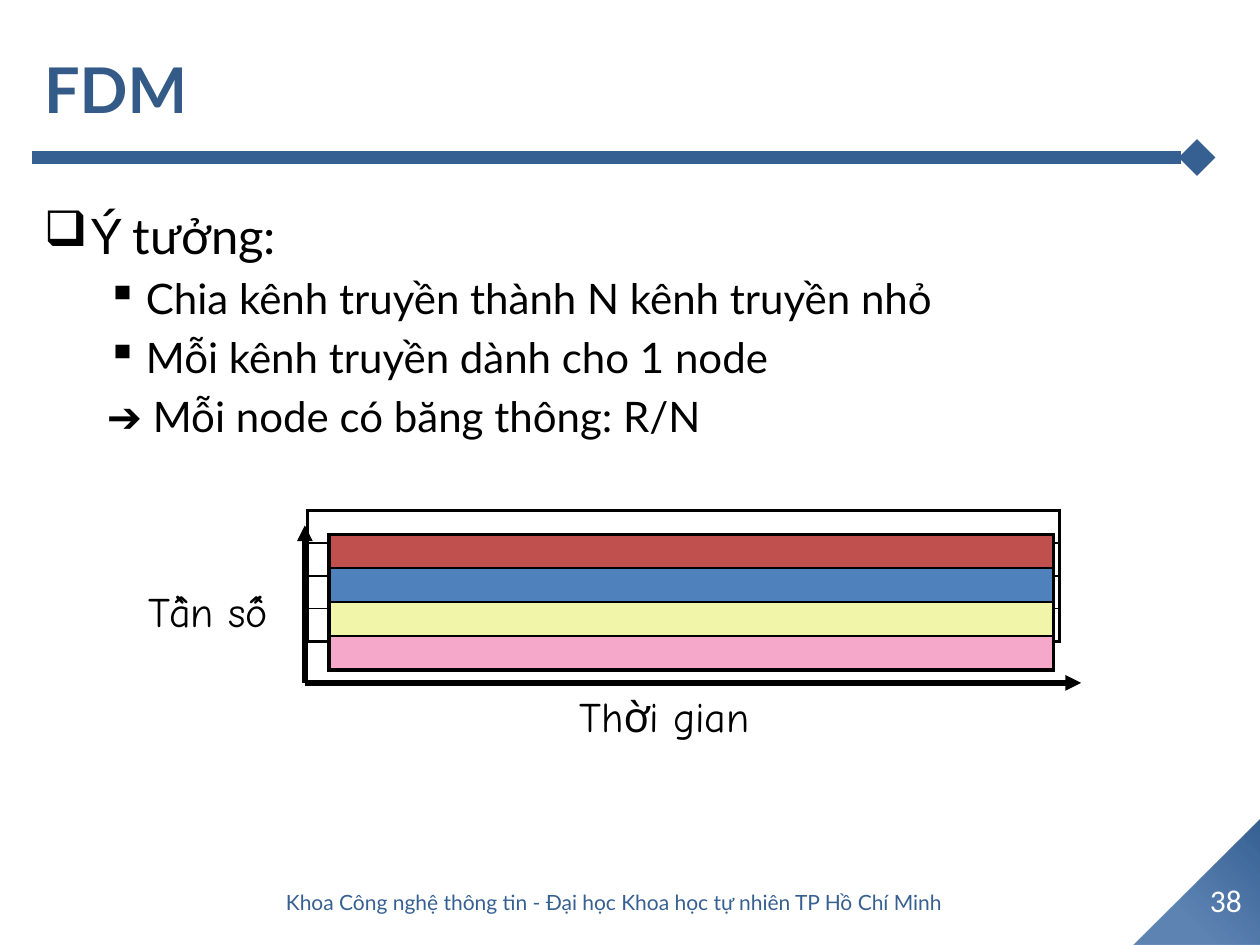
"""Build the FDM slide: idea list and a frequency-time diagram of channel bands."""
import pptx
import pptx.util
import pptx.dml.color
import pptx.enum.shapes
import pptx.enum.text
import pptx.oxml
import pptx.oxml.ns
import lxml.etree

Inches = pptx.util.Inches
Pt = pptx.util.Pt
ANCHOR = pptx.enum.text.MSO_ANCHOR
ALIGN = pptx.enum.text.PP_ALIGN
NAVY = "376092"


def color(value):
    return pptx.dml.color.RGBColor.from_string(value)


def add_child(parent, tag, **attributes):
    return lxml.etree.SubElement(parent, pptx.oxml.ns.qn(tag), attributes)


deck = pptx.Presentation()
deck.slide_width, deck.slide_height = Inches(10), Inches(7.5)
slide = deck.slides.add_slide(deck.slide_layouts[5])
shapes = slide.shapes

corner = shapes.add_shape(pptx.enum.shapes.MSO_SHAPE.RIGHT_TRIANGLE,
                          Inches(9), Inches(6.5), Inches(1), Inches(1))
corner.rotation = 270
corner.shadow.inherit = False
corner.line.fill.background()
corner.fill.gradient()
gradient = corner.fill._xPr.find(pptx.oxml.ns.qn("a:gradFill"))
for child in list(gradient):
    gradient.remove(child)
stops = add_child(gradient, "a:gsLst")
add_child(add_child(stops, "a:gs", pos="0"), "a:srgbClr", val=NAVY)
light = add_child(add_child(stops, "a:gs", pos="68000"), "a:srgbClr", val="3D6CA4")
add_child(light, "a:alpha", val="83000")
circle = add_child(gradient, "a:path", path="circle")
add_child(circle, "a:fillToRect", l="100000", b="100000")

title = shapes.title
title.left, title.top, title.width, title.height = (
    Inches(0.25), Inches(0.08), Inches(9.57), Inches(1.25))
title.text_frame.vertical_anchor = ANCHOR.MIDDLE
para = title.text_frame.paragraphs[0]
para.alignment = ALIGN.LEFT
span = para.add_run()
span.text = "FDM"
span.font.name, span.font.size, span.font.bold = "Lato", Pt(36), True
span.font.color.rgb = color("345A88")

body = shapes.add_textbox(Inches(0.25), Inches(1.58), Inches(9.42), Inches(5.33))
body.text_frame.word_wrap = True
ideas = [
    ("Ý tưởng:", 28, 0.38, 0.38, "❑"),
    ("Chia kênh truyền thành N kênh truyền nhỏ", 24, 0.81, 0.31, "▪"),
    ("Mỗi kênh truyền dành cho 1 node", 24, 0.81, 0.31, "▪"),
    ("➔ Mỗi node có băng thông: R/N", 24, 0.81, 0.31, None),
]
for index, (text, size, margin, hanging, bullet) in enumerate(ideas):
    para = body.text_frame.add_paragraph() if index else body.text_frame.paragraphs[0]
    para.level = min(index, 1)
    para.space_before = Pt(size * 0.2 if index else 0)
    properties = para._p.get_or_add_pPr()
    properties.set("marL", str(Inches(margin)))
    properties.set("indent", str(-Inches(hanging)))
    if bullet:
        add_child(properties, "a:buChar", char=bullet)
    else:
        add_child(properties, "a:buNone")
    span = para.add_run()
    span.text = text
    span.font.name, span.font.size = "Lato", Pt(size)
    span.font.color.rgb = color("000000")

labels = [
    ("Khoa Công nghệ thông tin - Đại học Khoa học tự nhiên TP Hồ Chí Minh",
     1.25, 6.96, 7.25, 0.4, 12, "Lato", NAVY, ALIGN.CENTER, ANCHOR.MIDDLE),
    ("38", 9.46, 6.94, 0.54, 0.4, 18, "Calibri", "FFFFFF", ALIGN.CENTER, ANCHOR.MIDDLE),
    ("Tần số", 1.08, 4.6, 2.53, 0.5, 24, "Comic Neue", "000000", ALIGN.LEFT, ANCHOR.TOP),
    ("Thời gian", 4.5, 5.43, 2.53, 0.5, 24, "Comic Neue", "000000", ALIGN.LEFT, ANCHOR.TOP),
]
for text, left, top, width, height, size, font, ink, alignment, anchor in labels:
    box = shapes.add_textbox(Inches(left), Inches(top), Inches(width), Inches(height))
    box.text_frame.word_wrap = True
    box.text_frame.vertical_anchor = anchor
    para = box.text_frame.paragraphs[0]
    para.alignment = alignment
    span = para.add_run()
    span.text = text
    span.font.name, span.font.size = font, Pt(size)
    span.font.color.rgb = color(ink)

band_tables = [
    (2.44, 4.05, 5.97, 0.26, ["FFFFFF"] * 4),
    (2.61, 4.24, 5.75, 0.27, ["C0504D", "4F81BD", "F0F5A9", "F6A8CB"]),
]
lines = [
    (0.25, 1.25, 9.5, 1.25, NAVY, 7, "diamond"),
    (2.42, 5.42, 2.42, 4.17, "000000", 3, "triangle"),
    (2.42, 5.42, 8.58, 5.42, "000000", 3, "triangle"),
]

for left, top, width, row_height, fills in band_tables:
    count = len(fills)
    table = shapes.add_table(count, 1, Inches(left), Inches(top),
                             Inches(width), Inches(row_height * count)).table
    table.first_row = table.horz_banding = False
    for index, fill in enumerate(fills):
        table.rows[index].height = Inches(row_height)
        cell = table.cell(index, 0)
        cell.margin_top = cell.margin_bottom = 0
        add_child(cell.text_frame.paragraphs[0]._p, "a:endParaRPr", sz="800")
        borders = {"a:lnL": 2.25, "a:lnR": 2.25,
                   "a:lnT": 1 if index else 2.25,
                   "a:lnB": 1 if index < count - 1 else 2.25}
        for tag, weight in borders.items():
            border = add_child(cell._tc.get_or_add_tcPr(), tag, w=str(Pt(weight)))
            add_child(add_child(border, "a:solidFill"), "a:srgbClr", val="000000")
        cell.fill.solid()
        cell.fill.fore_color.rgb = color(fill)
    if fills[0] == "FFFFFF":
        for x1, y1, x2, y2, ink, weight, head in lines:
            line = shapes.add_connector(pptx.enum.shapes.MSO_CONNECTOR.STRAIGHT,
                                        Inches(x1), Inches(y1), Inches(x2), Inches(y2))
            line.line.color.rgb = color(ink)
            line.line.width = Pt(weight)
            add_child(line.line._get_or_add_ln(), "a:tailEnd", type=head)
            add_child(line._element.spPr, "a:effectLst")

deck.save("out.pptx")
